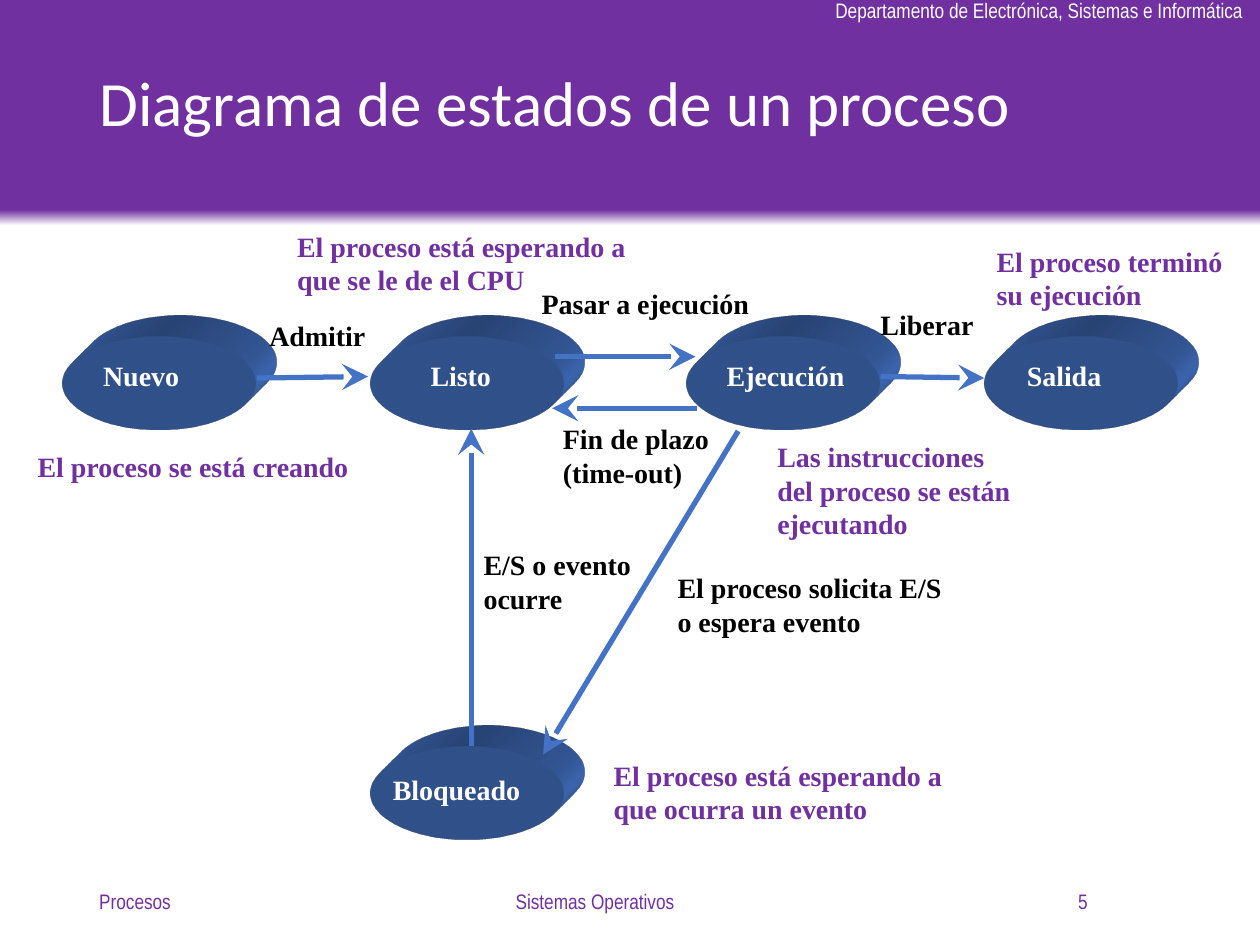
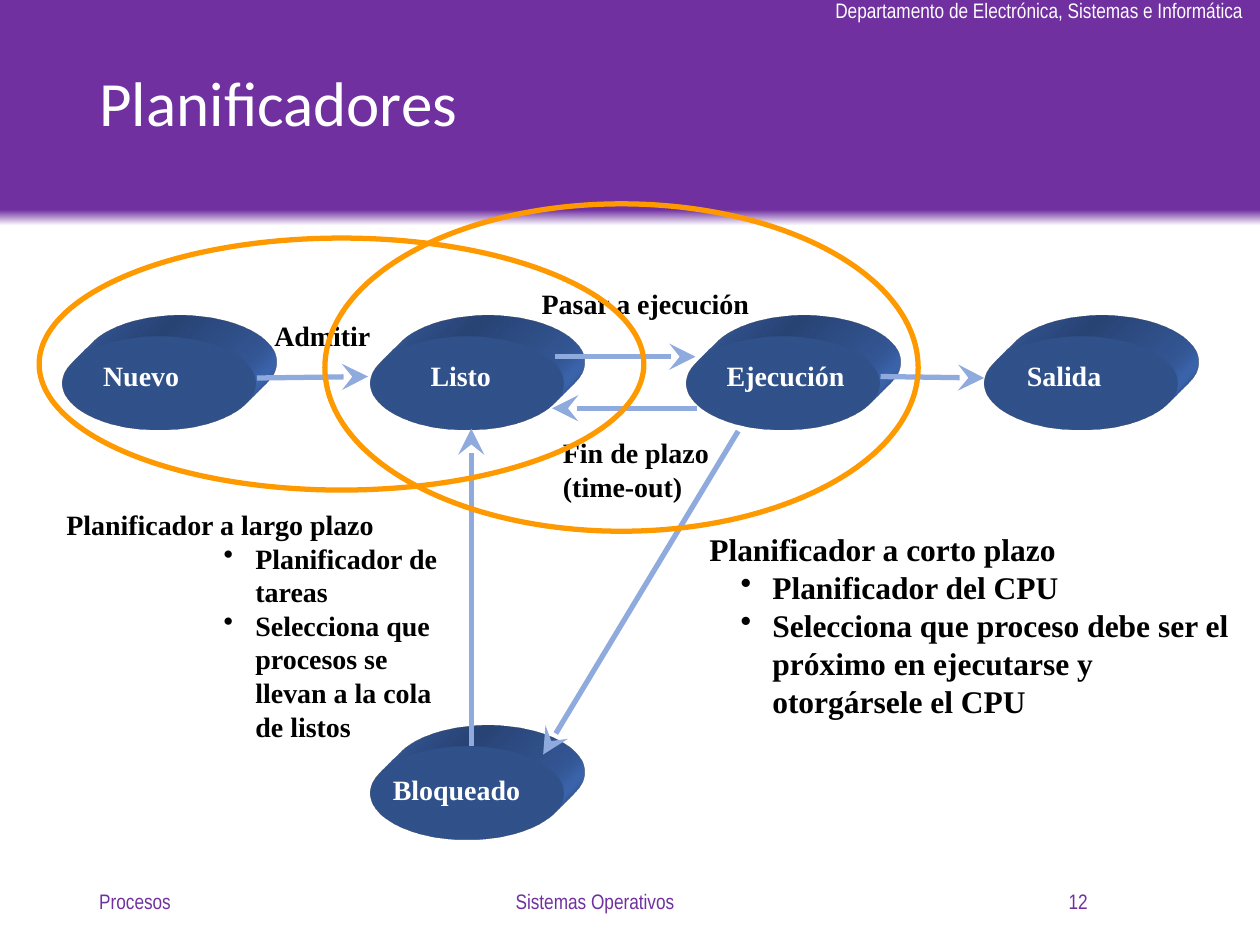
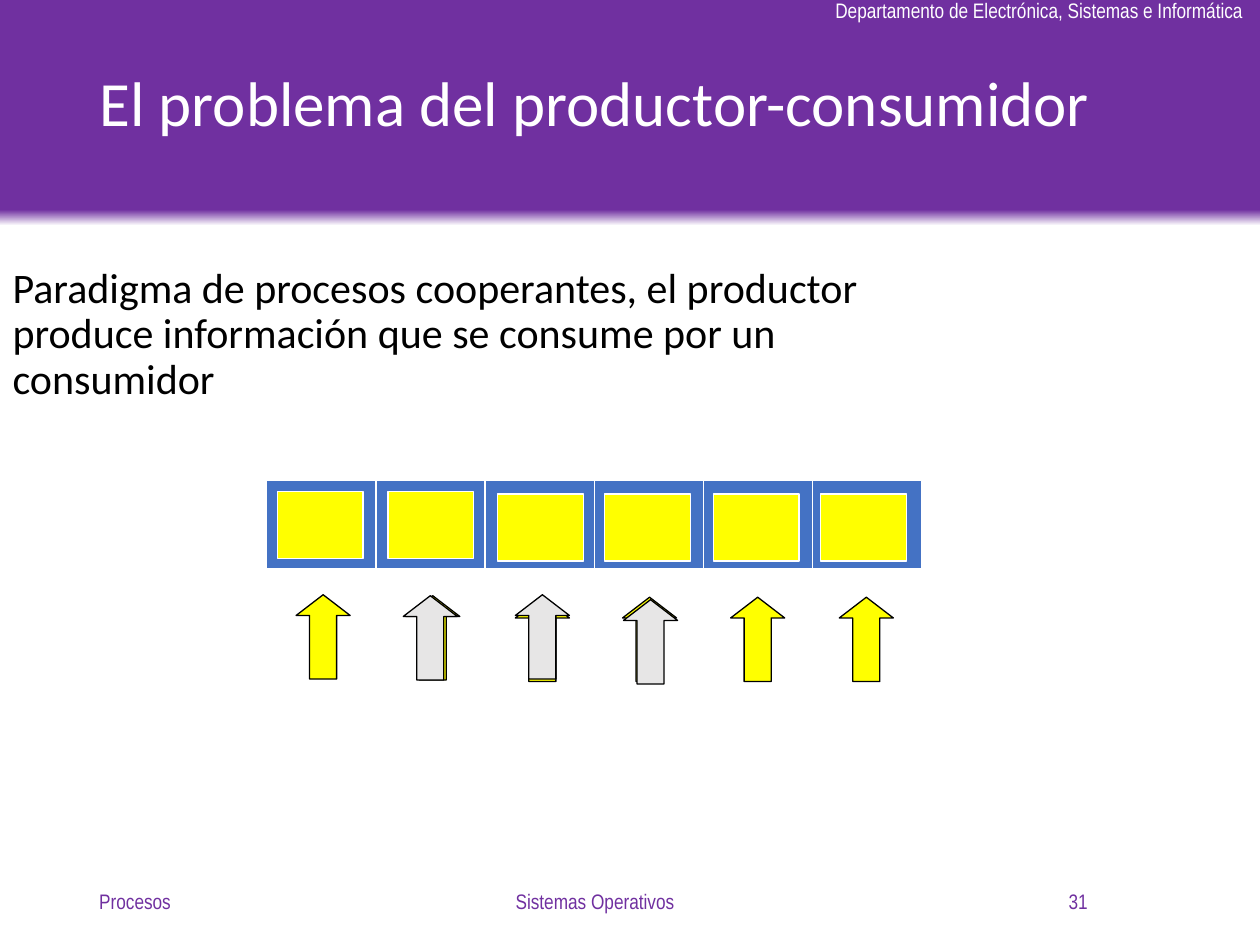
import lxml.etree
import pptx
import pptx.dml.color
import pptx.enum.shapes
import pptx.enum.text
import pptx.oxml
import pptx.oxml.ns
import pptx.util

Cm = pptx.util.Cm
Pt = pptx.util.Pt
RGBColor = pptx.dml.color.RGBColor
MSO_SHAPE = pptx.enum.shapes.MSO_SHAPE
PP_ALIGN = pptx.enum.text.PP_ALIGN
MSO_ANCHOR = pptx.enum.text.MSO_ANCHOR
MSO_AUTO_SIZE = pptx.enum.text.MSO_AUTO_SIZE
qn = pptx.oxml.ns.qn

WHITE = RGBColor(0xFF, 0xFF, 0xFF)
BLACK = RGBColor(0, 0, 0)
PURPLE = RGBColor(0x70, 0x30, 0xA0)
BLUE = RGBColor(0x44, 0x72, 0xC4)
LIGHT_BLUE = RGBColor(0x8F, 0xAA, 0xDC)
ORANGE = RGBColor(0xFF, 0x99, 0x00)
YELLOW = RGBColor(0xFF, 0xFF, 0x00)
GREY = RGBColor(0xE7, 0xE6, 0xE6)

TITLE_FONT = "Calibri"
FOOTER_FONT = "Arial Narrow"
DIAGRAM_FONT = "Times New Roman"

TITLE_ONLY, TITLE_AND_BODY = 5, 1

# State name, ellipse corner, label place (left, top, width, height)
STATES = [
    ("Nuevo", (1.27, 6.78), (1.83, 7.11, 2.06, 0.94)),
    ("Ejecución", (13.84, 6.78), (14.4, 7.11, 2.92, 0.94)),
    ("Salida", (19.84, 6.78), (20.45, 7.11, 2.49, 0.94)),
    ("Listo", (7.47, 6.78), (8.43, 7.11, 1.75, 0.94)),
    ("Bloqueado", (7.47, 15.04), (7.67, 15.44, 3.1, 0.94)),
]
STATE_SIZE = (3.89, 1.88)

# Start and end of each transition
TRANSITIONS = [
    (5.18, 7.62, 7.42, 7.59),
    (9.5, 15.04, 9.5, 8.64),
    (17.75, 7.59, 19.84, 7.62),
    (11.18, 7.19, 14.02, 7.19),
    (14.05, 8.23, 11.13, 8.23),
    (14.88, 8.69, 10.95, 15.21),
]

EXTRUSION = (
    '<a:scene3d {ns}><a:camera prst="legacyObliqueTopRight"/>'
    '<a:lightRig rig="legacyFlat3" dir="b"/></a:scene3d>',
    '<a:sp3d {ns} extrusionH="430200" prstMaterial="legacyMatte">'
    '<a:bevelT w="13500" h="13500" prst="angle"/>'
    '<a:bevelB w="13500" h="13500" prst="angle"/>'
    '<a:extrusionClr><a:srgbClr val="{colour}"/></a:extrusionClr></a:sp3d>',
)

CELL_COUNT, CELL_PITCH = 6, 2.2
ITEMS = [(5.59, 9.91), (7.82, 9.91), (10.03, 9.96),
         (12.19, 9.96), (14.38, 9.96), (16.54, 9.96)]
ITEM_ARROWS = [(5.97, 11.99), (8.18, 12.01), (10.39, 12.04),
               (12.55, 12.04), (14.73, 12.04), (16.92, 12.04)]
GREY_ARROWS = [(8.13, 12.01), (10.39, 11.99), (12.57, 12.09)]


def lengths(values):
    return [Cm(value) for value in values]


def format_runs(paragraph, font, size, colour, bold=False):
    for span in paragraph.runs:
        span.font.name = font
        span.font.size = Pt(size)
        span.font.bold = bold
        span.font.color.rgb = colour


def add_text(page, words, place, colour=BLACK, size=16, font=DIAGRAM_FONT,
             bold=True, wrap=False, align=PP_ALIGN.LEFT, fit=True):
    box = page.shapes.add_textbox(*lengths(place))
    frame = box.text_frame
    frame.text = words
    frame.word_wrap = wrap
    frame.auto_size = MSO_AUTO_SIZE.SHAPE_TO_FIT_TEXT if fit else MSO_AUTO_SIZE.NONE
    for paragraph in frame.paragraphs:
        paragraph.alignment = align
        format_runs(paragraph, font, size, colour, bold)
    return box


def add_solid(shapes, kind, place, fill=None, line=None, weight=0.75):
    """Add a preset shape; without a fill or a line colour it has none."""
    shape = shapes.add_shape(kind, *lengths(place))
    shape.shadow.inherit = False
    if fill is None:
        shape.fill.background()
    else:
        shape.fill.solid()
        shape.fill.fore_color.rgb = fill
    if line is None:
        shape.line.fill.background()
    else:
        shape.line.color.rgb = line
        shape.line.width = Pt(weight)
    return shape


def add_state(page, corner, line):
    ellipse = add_solid(page.shapes, MSO_SHAPE.OVAL, corner + STATE_SIZE, BLUE, line, 1)
    for part in EXTRUSION:
        xml = part.format(ns=pptx.oxml.ns.nsdecls("a"), colour=BLUE)
        ellipse.element.spPr.append(pptx.oxml.parse_xml(xml))


def add_transition(page, ends, colour):
    arrow = page.shapes.add_connector(
        pptx.enum.shapes.MSO_CONNECTOR.STRAIGHT, *lengths(ends))
    arrow.line.color.rgb = colour
    arrow.line.width = Pt(3)
    outline = arrow.line._get_or_add_ln()
    lxml.etree.SubElement(outline, qn("a:tailEnd"), type="stealth", w="lg", len="lg")
    lxml.etree.SubElement(arrow.element.spPr, qn("a:effectLst"))


def add_up_arrow(page, corner, fill):
    arrow = add_solid(page.shapes, MSO_SHAPE.UP_ARROW, corner + (1.09, 1.7), fill, BLACK)
    arrow.adjustments[0] = 0.5
    arrow.adjustments[1] = 0.384


def set_bullet(paragraph, margin, hanging, mark=None):
    properties = paragraph._p.get_or_add_pPr()
    properties.set("marL", str(Cm(margin)))
    properties.set("indent", str(-Cm(hanging)))
    if mark:
        lxml.etree.SubElement(properties, qn("a:buChar"), char=mark)
    else:
        lxml.etree.SubElement(properties, qn("a:buNone"))


def add_planner(page, lines, place, size, level, margin):
    """Add a heading line followed by bulleted lines."""
    box = add_text(page, "\n".join(lines), place, size=size, wrap=True)
    for paragraph in box.text_frame.paragraphs[1:]:
        paragraph.level = level
        set_bullet(paragraph, margin, 0.64, "•")


def fill_placeholder(holder, words, place, size, colour, anchor):
    holder.left, holder.top, holder.width, holder.height = lengths(place)
    frame = holder.text_frame
    frame.text = words
    frame.auto_size = MSO_AUTO_SIZE.NONE
    frame.vertical_anchor = anchor
    paragraph = frame.paragraphs[0]
    paragraph.alignment = PP_ALIGN.LEFT
    paragraph.line_spacing = 0.9
    format_runs(paragraph, TITLE_FONT, size, colour)
    return paragraph


def add_page(deck, layout, title, number):
    page = deck.slides.add_slide(deck.slide_layouts[layout])
    fill_placeholder(page.shapes.title, title, (1.75, 0.38, 21.89, 3.53),
                     36, WHITE, MSO_ANCHOR.MIDDLE)
    footers = [
        ("Procesos", 1.75, 5.72, PP_ALIGN.LEFT),
        ("Sistemas Operativos", 7.7, 8.59, PP_ALIGN.CENTER),
        (str(number), 16.46, 5.72, PP_ALIGN.RIGHT),
    ]
    for words, left, width, align in footers:
        box = add_text(page, words, (left, 17.65, width, 1.02), PURPLE, 12,
                       FOOTER_FONT, False, True, align, fit=False)
        box.text_frame.vertical_anchor = MSO_ANCHOR.MIDDLE
    return page


def move_band_to_master(deck, page):
    """Build the heading band on a page and hand it to the slide master."""
    band = add_solid(page.shapes, MSO_SHAPE.RECTANGLE, (0, 0, 25.4, 4.55), PURPLE)
    band.fill.gradient()
    band.fill.gradient_angle = 90
    edge, main_part = band.fill.gradient_stops
    edge.color.rgb, edge.position = WHITE, 0
    main_part.color.rgb, main_part.position = PURPLE, 0.07
    department = add_text(page, "Departamento de Electrónica, Sistemas e Informática",
                          (16.59, -0.18, 8.84, 0.76), WHITE, 12, FOOTER_FONT, False)
    for shape in (band, department):
        deck.slide_master.shapes.element.append(shape.element)


def add_state_diagram(page, colour, admit_left, timeout_top):
    for _, corner, _ in STATES:
        add_state(page, corner, colour)
    for name, _, place in STATES:
        add_text(page, name, place, WHITE)
    for ends in TRANSITIONS:
        add_transition(page, ends, colour)
    add_text(page, "Admitir", (admit_left, 6.3, 2.46, 0.94))
    add_text(page, "Pasar a ejecución", (10.67, 5.66, 4.7, 0.91))
    add_text(page, "Fin de plazo\n(time-out)", (11.1, timeout_top, 3.48, 1.63))


def add_process_states(page):
    add_state_diagram(page, BLUE, 5.18, 8.38)
    add_text(page, "E/S o evento\nocurre", (9.5, 10.92, 3.51, 1.63))
    add_text(page, "Liberar", (17.5, 6.07, 2.41, 0.94))
    add_text(page, "El proceso solicita E/S o espera evento",
             (13.41, 11.38, 5.89, 1.6), wrap=True)
    notes = [
        ("El proceso se está creando", (0.51, 8.94, 6.93, 0.94)),
        ("El proceso está esperando a que se le de el CPU", (5.74, 4.5, 8, 1.63)),
        ("Las instrucciones del proceso se están ejecutando", (15.42, 8.74, 5.28, 2.29)),
        ("El proceso está esperando a que ocurra un evento", (12.12, 15.16, 7.16, 2.29)),
        ("El proceso terminó su ejecución", (19.84, 4.8, 5.64, 1.63)),
    ]
    for words, place in notes:
        add_text(page, words, place, PURPLE, wrap=True)


def add_planners(page):
    add_state_diagram(page, LIGHT_BLUE, 5.28, 8.66)
    add_planner(page, ["Planificador a largo plazo", "Planificador de tareas",
                       "Selecciona que procesos se llevan a la cola de listos"],
                (1.09, 10.11, 8.53, 5.74), 16, 3, 3.81)
    add_planner(page, ["Planificador a corto plazo", "Planificador del CPU",
                       "Selecciona que proceso debe ser el próximo en ejecutarse "
                       "y otorgársele el CPU"],
                (14.05, 10.57, 11.35, 4.83), 18, 1, 1.27)
    for place in [(0.79, 4.8, 12.19, 5.08), (6.55, 4.11, 11.96, 6.6)]:
        add_solid(page.shapes, MSO_SHAPE.OVAL, place, line=ORANGE, weight=3)


def add_buffer(page):
    paragraph = fill_placeholder(
        page.placeholders[1],
        "Paradigma de procesos cooperantes, el productor produce información "
        "que se consume por un consumidor",
        (0, 5.26, 19.15, 3.84), 24, BLACK, MSO_ANCHOR.TOP)
    paragraph.space_before = Pt(10)
    set_bullet(paragraph, 0, 0)
    cells = page.shapes.add_group_shape()
    for index in range(CELL_COUNT):
        add_solid(cells.shapes, MSO_SHAPE.RECTANGLE,
                  (5.38 + index * CELL_PITCH, 9.69, 2.2, 1.78), BLUE, WHITE)
    for item, arrow in zip(ITEMS, ITEM_ARROWS):
        add_solid(page.shapes, MSO_SHAPE.RECTANGLE, item + (1.73, 1.35), YELLOW, WHITE)
        add_up_arrow(page, arrow, YELLOW)
    for arrow in GREY_ARROWS:
        add_up_arrow(page, arrow, GREY)


def main():
    deck = pptx.Presentation()
    deck.slide_width, deck.slide_height = Cm(25.4), Cm(19.05)
    states = add_page(deck, TITLE_ONLY, "Diagrama de estados de un proceso", 5)
    move_band_to_master(deck, states)
    add_process_states(states)
    add_planners(add_page(deck, TITLE_ONLY, "Planificadores", 12))
    add_buffer(add_page(deck, TITLE_AND_BODY, "El problema del productor-consumidor", 31))
    deck.save("out.pptx")


if __name__ == "__main__":
    main()
